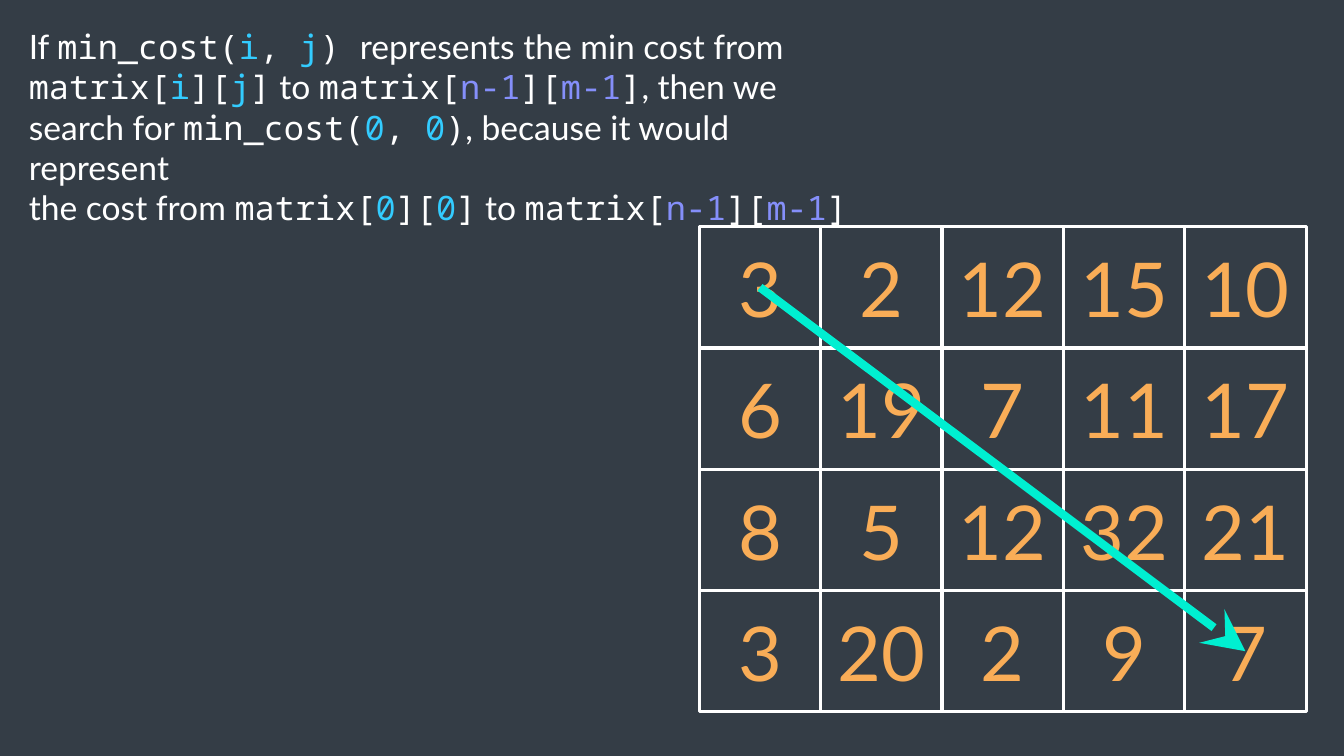
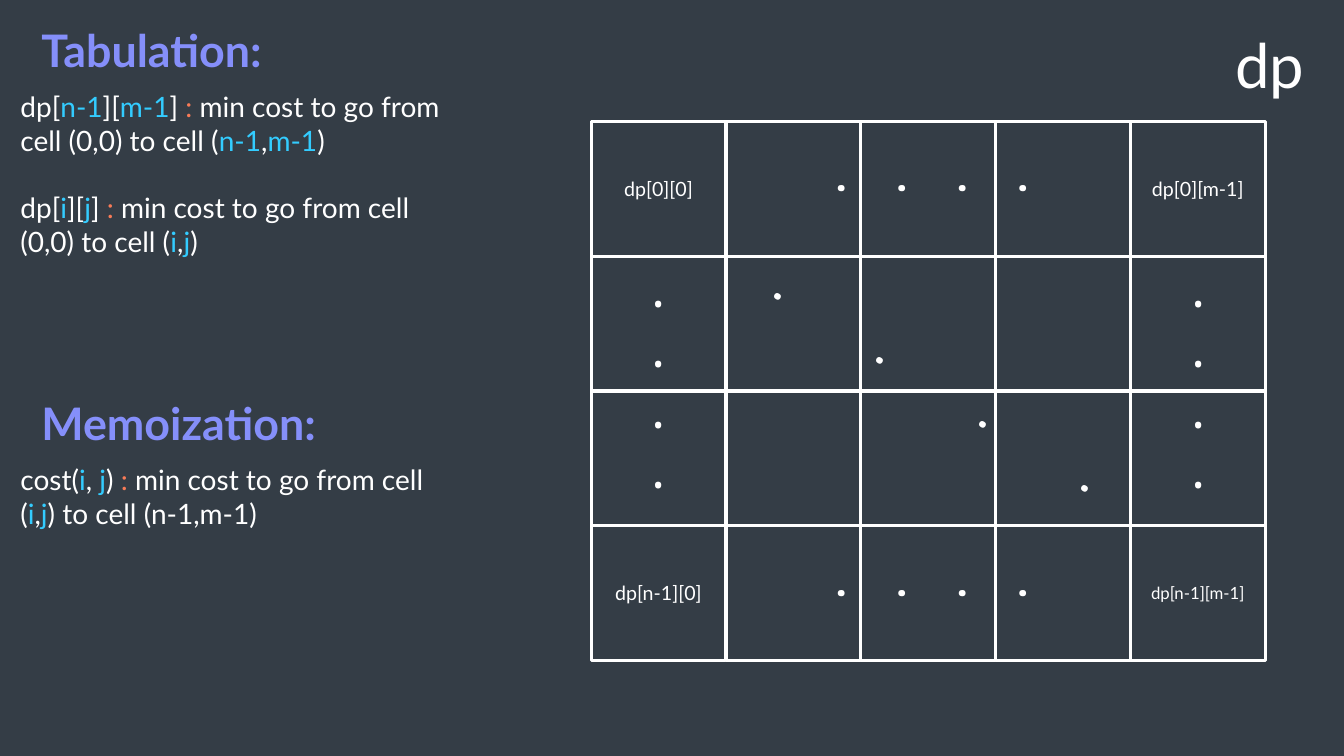
from dataclasses import dataclass
from itertools import product

from lxml.etree import SubElement
from pptx import Presentation
from pptx.dml.color import RGBColor
from pptx.enum.shapes import MSO_CONNECTOR, MSO_SHAPE
from pptx.enum.text import MSO_ANCHOR, MSO_AUTO_SIZE, PP_ALIGN
from pptx.oxml.ns import qn
from pptx.util import Pt

PX = 9525


@dataclass(frozen=True)
class Theme:
    """Hold the colours, fonts and type sizes of the deck."""
    back: str = "343D46"
    white: str = "FFFFFF"
    cyan: str = "33CCFF"
    violet: str = "858FFA"
    coral: str = "F97B57"
    amber: str = "F9AD57"
    mint: str = "00EFD1"
    sans: str = "Lato"
    mono: str = "Noto Sans Mono"
    name: int = 44
    head: int = 32
    lead: int = 24
    body: int = 20
    cost: int = 54
    dot: int = 36
    label: int = 14
    small: int = 12
    rule: float = 2.25
    arrow: int = 6


T = Theme()
HUES = {"~": T.cyan, "^": T.violet, "*": T.coral}


def px(*sizes):
    """Turn px lengths into EMU."""
    return [round(size * PX) for size in sizes]


def rgb(hue):
    """Turn a hex string into a colour."""
    return RGBColor.from_string(hue)


def split(text):
    """Yield (words, mono, hue) where ` toggles mono and ~ ^ * toggle hues."""
    words, mono, hue = "", False, None
    for sign in text:
        if sign != "`" and sign not in HUES:
            words += sign
            continue
        if words:
            yield words, mono, hue
        words = ""
        if sign == "`":
            mono = not mono
        else:
            hue = None if hue else HUES[sign]
    if words:
        yield words, mono, hue


def write(frame, text, size=T.body, hue=T.white, bold=False, align=PP_ALIGN.LEFT, gap=0):
    """Fill a text frame with marked-up text, one paragraph a line."""
    for row, line in enumerate(text.split("\n")):
        para = frame.add_paragraph() if row else frame.paragraphs[0]
        para.alignment = align
        if row and gap:
            para.space_before = Pt(gap)
        for words, mono, tint in split(line):
            run = para.add_run()
            run.text = words
            run.font.size, run.font.bold = Pt(size), bold
            run.font.name = T.mono if mono else T.sans
            run.font.color.rgb = rgb(tint or hue)


def label(slide, box, text, **form):
    """Add a wrapped text box."""
    shape = slide.shapes.add_textbox(*px(*box))
    shape.text_frame.word_wrap = True
    shape.text_frame.auto_size = MSO_AUTO_SIZE.SHAPE_TO_FIT_TEXT
    write(shape.text_frame, text, **form)
    return shape


def cell(slide, box, text, **form):
    """Add one outlined cell with centred text."""
    shape = slide.shapes.add_shape(MSO_SHAPE.RECTANGLE, *px(*box))
    shape.shadow.inherit = False
    shape.fill.solid()
    shape.fill.fore_color.rgb = rgb(T.back)
    shape.line.color.rgb = rgb(T.white)
    shape.line.width = Pt(T.rule)
    frame = shape.text_frame
    frame.vertical_anchor = MSO_ANCHOR.MIDDLE
    frame.margin_left = frame.margin_right = 0
    write(frame, text, align=PP_ALIGN.CENTER, **form)


def grid(slide, box, rows, size, hue, fit=None):
    """Fill the box with equal cells."""
    x, y, w, h = box
    high, wide = len(rows), len(rows[0])
    dx, dy = w / wide, h / high
    for row, col in product(range(high), range(wide)):
        text = rows[row][col]
        cell(slide, (x + col * dx, y + row * dy, dx, dy), text,
             size=(fit or {}).get(text, size), hue=hue)


def arrow(slide, start, end):
    """Add a thick arrow between two points."""
    line = slide.shapes.add_connector(MSO_CONNECTOR.STRAIGHT, *px(*start, *end))
    line.line.width = Pt(T.arrow)
    line.line.color.rgb = rgb(T.mint)
    props = line.element.spPr
    SubElement(props.find(qn("a:ln")), qn("a:tailEnd"), type="stealth", w="lg", len="lg")
    SubElement(props, qn("a:effectLst"))


def dots(slide, box, flat=False, turn=0, gap=0):
    """Add a run of four dots, stacked or laid flat."""
    shape = label(slide, box, "\n".join(["`.`"] * 4), size=T.dot,
                  align=PP_ALIGN.CENTER, gap=gap)
    if flat:
        shape.element.txBody.bodyPr.set("vert", "vert")
    shape.rotation = turn


def topic(slide, box, head, notes):
    """Add a heading with its notes below."""
    x, y, w = box
    label(slide, (x + 20, y, w, 61), head, size=T.head, hue=T.violet, bold=True)
    for step, note in enumerate(notes):
        label(slide, (x, y + 64 + 96 * step, w, 74), note)


def costs(slide, box, rows):
    """Add the cost matrix and the arrow from first to last cell."""
    x, y, w, h = box
    grid(slide, box, rows, T.cost, T.amber)
    dx, dy = w / len(rows[0]) / 2, h / len(rows) / 2
    arrow(slide, (x + dx, y + dy), (x + w - dx, y + h - dy))


def states(slide, box):
    """Add the dp matrix with its corner labels and dots."""
    x, y, w, h = box
    last = "dp[n-1][m-1]"
    blank = [""] * 5
    rows = [["dp[0][0]", "", "", "", "dp[0][m-1]"], blank, blank,
            ["dp[n-1][0]", "", "", "", last]]
    grid(slide, box, rows, T.label, T.white, fit={last: T.small})
    for left in (x + 24, x + w - 104):
        dots(slide, (left, y + 124, 81, 242))
    for top in (y + 30, y + 415):
        dots(slide, (x + 209, top, 252, 68), flat=True)
    dots(slide, (x + 119, y + 229, 426, 68), flat=True, turn=32.1, gap=43)
    label(slide, (x + w - 46, y - 95, 101, 81), "dp", size=T.name, align=PP_ALIGN.CENTER)


def page(deck):
    """Add a blank slide with the shared background."""
    slide = deck.slides.add_slide(deck.slide_layouts[6])
    slide.background.fill.solid()
    slide.background.fill.fore_color.rgb = rgb(T.back)
    return slide


def goal(deck):
    """Build the slide that states the problem."""
    slide = page(deck)
    label(slide, (18, 20, 805, 165),
          "If `min_cost(~i~, ~j~) `represents the min cost from "
          "`matrix[~i~][~j~]` to `matrix[^n-1^][^m-1^]`, then we search for "
          "`min_cost(~0~, ~0~)`, because it would represent\n"
          "the cost from `matrix[~0~][~0~]` to `matrix[^n-1^][^m-1^]`", size=T.lead)
    rows = ["3 2 12 15 10", "6 19 7 11 17", "8 5 12 32 21", "3 20 2 9 7"]
    costs(slide, (666, 216, 578, 462), [row.split() for row in rows])


def plan(deck):
    """Build the slide that compares the two methods."""
    slide = page(deck)
    states(slide, (563, 116, 642, 513))
    topic(slide, (10, 17, 436), "Tabulation:", [
        "dp[~n-1~][~m-1~] *: *min cost to go from cell (0,0) to cell (~n-1~,~m-1~)",
        "dp[~i~][~j~] *: *min cost to go from cell (0,0) to cell (~i~,~j~)"])
    topic(slide, (10, 372, 436), "Memoization:", [
        "cost(~i~, ~j~) *: *min cost to go from cell (~i~,~j~) to cell (n-1,m-1)"])


def main():
    """Build and save the deck."""
    deck = Presentation()
    deck.slide_width, deck.slide_height = px(1280, 720)
    goal(deck)
    plan(deck)
    deck.save("out.pptx")


if __name__ == "__main__":
    main()
